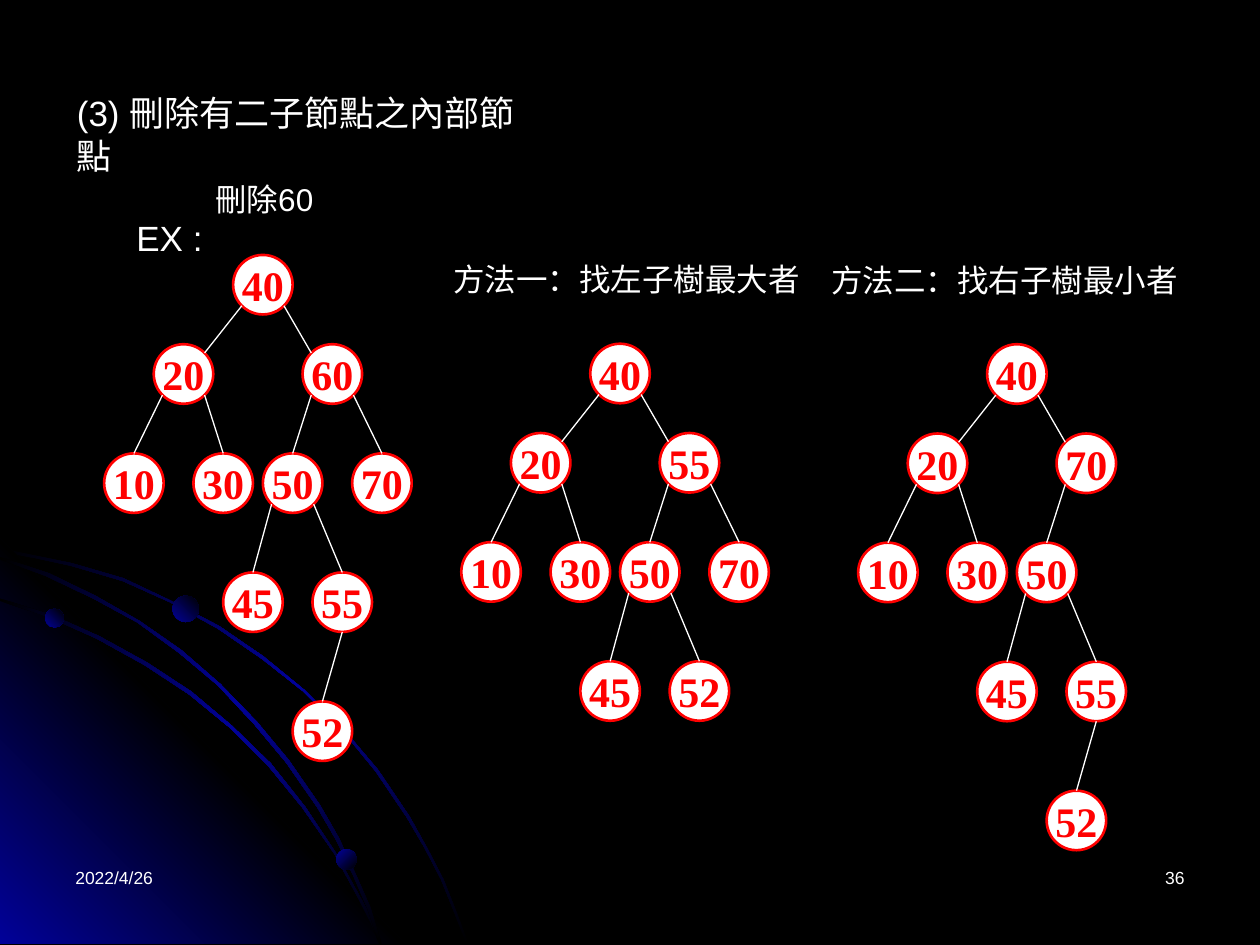
from dataclasses import dataclass
from math import sqrt

from lxml.etree import SubElement
from pptx import Presentation
from pptx.dml.color import RGBColor
from pptx.enum.shapes import MSO_CONNECTOR, MSO_SHAPE
from pptx.enum.text import MSO_ANCHOR, PP_ALIGN
from pptx.oxml.ns import qn
from pptx.util import Cm, Pt


@dataclass(frozen=True)
class Theme:
    """Colours, fonts and type sizes of the slide."""
    black: str = "000000"
    white: str = "FFFFFF"
    red: str = "FF0000"
    blue: str = "010199"
    text_font: str = "Arial"
    key_font: str = "Times New Roman"
    heading: int = 20
    label: int = 18
    key: int = 24
    footer: int = 10


@dataclass(frozen=True)
class Label:
    """One line of text; lengths in centimetres."""
    text: str
    left: float
    top: float
    width: float
    size: int
    align: PP_ALIGN = PP_ALIGN.LEFT


@dataclass(frozen=True)
class Tree:
    """A search tree: root corner in centimetres and a key for each slot."""
    left: float
    top: float
    keys: dict[str, int]


@dataclass(frozen=True)
class Bead:
    """A glowing ball on an arc; lengths in centimetres."""
    left: float
    top: float
    size: float
    angle: int


THEME = Theme()
NODE = 1.2
CORNER = NODE / 2 * (1 - 1 / sqrt(2))
ORNAMENT_UNIT = Cm(2.54) / 100

# A slot names the turns from the root; its offset from the root is in centimetres.
SLOTS = {
    "": (0, 0), "L": (-1.6, 1.8), "R": (1.4, 1.8),
    "LL": (-2.6, 4), "LR": (-0.8, 4), "RL": (0.6, 4), "RR": (2.4, 4),
    "RLL": (-0.2, 6.4), "RLR": (1.6, 6.4), "RLRL": (1.2, 9),
}
SHARED = {"": 40, "L": 20, "LL": 10, "LR": 30, "RL": 50, "RLL": 45}
TREES = [
    Tree(4.7, 5.14, SHARED | {"R": 60, "RR": 70, "RLR": 55, "RLRL": 52}),
    Tree(11.9, 6.93, SHARED | {"R": 55, "RR": 70, "RLR": 52}),
    Tree(19.9, 6.94, SHARED | {"R": 70, "RLR": 55, "RLRL": 52}),
]
LABELS = [
    Label("2022/4/26", 1.27, 17.35, 5.92, THEME.footer),
    Label("36", 18.21, 17.35, 5.92, THEME.footer, PP_ALIGN.RIGHT),
    Label("刪除60", 4.09, 3.51, 3.2, THEME.label),
    Label("方法一：找左子樹最大者", 8.89, 5.11, 7.67, THEME.label),
    Label("方法二：找右子樹最小者", 16.51, 5.13, 7.67, THEME.label),
]

OUTER_ARC = [
    (57, 447), (28, 441), (0, 435), (0, 438), (28, 443), (56, 449), (97, 461),
    (135, 478), (173, 499), (208, 523), (241, 549), (271, 579), (298, 612),
    (323, 649), (337, 673), (350, 698), (360, 723), (370, 749), (372, 749),
    (362, 723), (352, 698), (339, 673), (325, 648), (300, 611), (272, 578),
    (242, 548), (209, 521), (174, 497), (136, 477), (98, 459)]
CORNER_GLOW = [(322, 749), (0, 749), (0, 427)]
INNER_ARC = [
    (285, 714), (294, 732), (301, 749), (303, 749), (296, 730), (286, 712),
    (266, 676), (242, 640), (215, 606), (184, 576), (152, 549), (117, 526),
    (79, 505), (41, 488), (0, 475), (0, 477), (39, 490), (77, 507), (115, 528),
    (150, 551), (183, 578), (213, 608), (240, 641), (265, 677)]
MIDDLE_ARC = [
    (0, 442), (0, 444), (36, 457), (74, 475), (109, 494), (142, 518), (173, 544),
    (202, 575), (227, 605), (252, 641), (267, 667), (280, 694), (292, 722),
    (301, 749), (303, 749), (294, 720), (282, 693), (269, 665), (254, 639),
    (229, 603), (204, 573), (175, 543), (144, 516), (111, 493), (76, 473),
    (39, 455)]
ARC_FADE = (THEME.black, THEME.blue, THEME.black)
GLOW_FADE = (THEME.blue, THEME.black, THEME.blue)
OUTLINES = [(OUTER_ARC, ARC_FADE, 45), (CORNER_GLOW, GLOW_FADE, 315),
            (INNER_ARC, ARC_FADE, 45), (MIDDLE_ARC, ARC_FADE, 45)]
BEADS = [Bead(0.91, 12.27, 0.38, 315), Bead(6.78, 17.12, 0.41, 45),
         Bead(3.48, 12.01, 0.53, 315)]


def rgb(colour: str) -> RGBColor:
    """Turn a hex string into a colour."""
    return RGBColor.from_string(colour)


def fade(shape, colours: tuple[str, ...], angle: int) -> None:
    """Fill a shape with evenly spaced gradient stops, without an outline."""
    shape.shadow.inherit = False
    shape.line.fill.background()
    shape.fill.gradient()
    gradient = shape.fill._xPr.find(qn("a:gradFill"))
    stops = gradient.find(qn("a:gsLst"))
    for stop in list(stops):
        stops.remove(stop)
    for index, colour in enumerate(colours):
        position = 100000 * index // (len(colours) - 1)
        stop = SubElement(stops, qn("a:gs"), pos=str(position))
        SubElement(stop, qn("a:srgbClr"), val=colour)
    gradient.find(qn("a:lin")).set("ang", str(angle * 60000))


def draw_ornament(shapes) -> None:
    """Draw the corner glow with its arcs and beads."""
    for points, colours, angle in OUTLINES:
        builder = shapes.build_freeform(*points[0], scale=ORNAMENT_UNIT)
        builder.add_line_segments(points[1:], close=True)
        fade(builder.convert_to_shape(), colours, angle)
    for bead in BEADS:
        ball = shapes.add_shape(MSO_SHAPE.OVAL, Cm(bead.left), Cm(bead.top),
                                Cm(bead.size), Cm(bead.size))
        fade(ball, (THEME.blue, THEME.black), bead.angle)


def add_run(paragraph, text: str, size: int, colour: str = THEME.white,
            font: str = THEME.text_font, bold: bool = False) -> None:
    """Append a styled run to a paragraph."""
    run = paragraph.add_run()
    run.text = text
    run.font.size, run.font.name, run.font.bold = Pt(size), font, bold
    run.font.color.rgb = rgb(colour)


def draw_label(shapes, label: Label):
    """Draw a label and return its text frame."""
    frame = shapes.add_textbox(Cm(label.left), Cm(label.top),
                               Cm(label.width), Cm(1)).text_frame
    frame.word_wrap = True
    frame.paragraphs[0].alignment = label.align
    add_run(frame.paragraphs[0], label.text, label.size)
    return frame


def draw_heading(shapes) -> None:
    """Draw the case heading and the indented example line."""
    frame = draw_label(shapes, Label("(3) 刪除有二子節點之內部節點", 1.3, 1.73,
                                     10.03, THEME.heading))
    example = frame.add_paragraph()
    example.space_before = Pt(23)
    example._p.get_or_add_pPr().set("marL", str(Cm(1.2)))
    add_run(example, "EX :", THEME.heading)


def draw_node(shapes, key: int, left: float, top: float) -> None:
    """Draw one tree node with its key."""
    node = shapes.add_shape(MSO_SHAPE.FLOWCHART_CONNECTOR, Cm(left), Cm(top),
                            Cm(NODE), Cm(NODE))
    node.shadow.inherit = False
    node.fill.solid()
    node.fill.fore_color.rgb = rgb(THEME.white)
    node.line.color.rgb = rgb(THEME.red)
    node.line.width = Pt(1.5)
    frame = node.text_frame
    frame.word_wrap = False
    frame.vertical_anchor = MSO_ANCHOR.MIDDLE
    frame.paragraphs[0].alignment = PP_ALIGN.CENTER
    add_run(frame.paragraphs[0], str(key), THEME.key, THEME.red, THEME.key_font, True)


def draw_edge(shapes, tree: Tree, slot: str) -> None:
    """Join a node to its parent; the last level hangs from the bottom."""
    parent_x, parent_y = SLOTS[slot[:-1]]
    child_x, child_y = SLOTS[slot]
    near, far = (CORNER, NODE - CORNER) if slot[-1] == "L" else (NODE - CORNER, CORNER)
    start = (NODE / 2, NODE) if len(slot) == 4 else (near, NODE - CORNER)
    end = (far, CORNER) if len(slot) == 1 else (NODE / 2, 0)
    edge = shapes.add_connector(
        MSO_CONNECTOR.STRAIGHT,
        Cm(tree.left + parent_x + start[0]), Cm(tree.top + parent_y + start[1]),
        Cm(tree.left + child_x + end[0]), Cm(tree.top + child_y + end[1]))
    edge.line.color.rgb = rgb(THEME.white)
    edge.line.width = Pt(0.75)
    SubElement(edge._element.spPr, qn("a:effectLst"))


def draw_tree(shapes, tree: Tree) -> None:
    """Draw a tree as one group of nodes and edges."""
    members = shapes.add_group_shape().shapes
    for slot, key in tree.keys.items():
        x, y = SLOTS[slot]
        draw_node(members, key, tree.left + x, tree.top + y)
    for slot in filter(None, tree.keys):
        draw_edge(members, tree, slot)


def main() -> None:
    """Build the slide and save it."""
    deck = Presentation()
    deck.slide_width, deck.slide_height = Cm(25.4), Cm(19.05)
    slide = deck.slides.add_slide(deck.slide_layouts[6])
    slide.background.fill.solid()
    slide.background.fill.fore_color.rgb = rgb(THEME.black)
    draw_ornament(slide.shapes.add_group_shape().shapes)
    draw_heading(slide.shapes)
    for label in LABELS:
        draw_label(slide.shapes, label)
    for tree in TREES:
        draw_tree(slide.shapes, tree)
    deck.save("out.pptx")


main()
